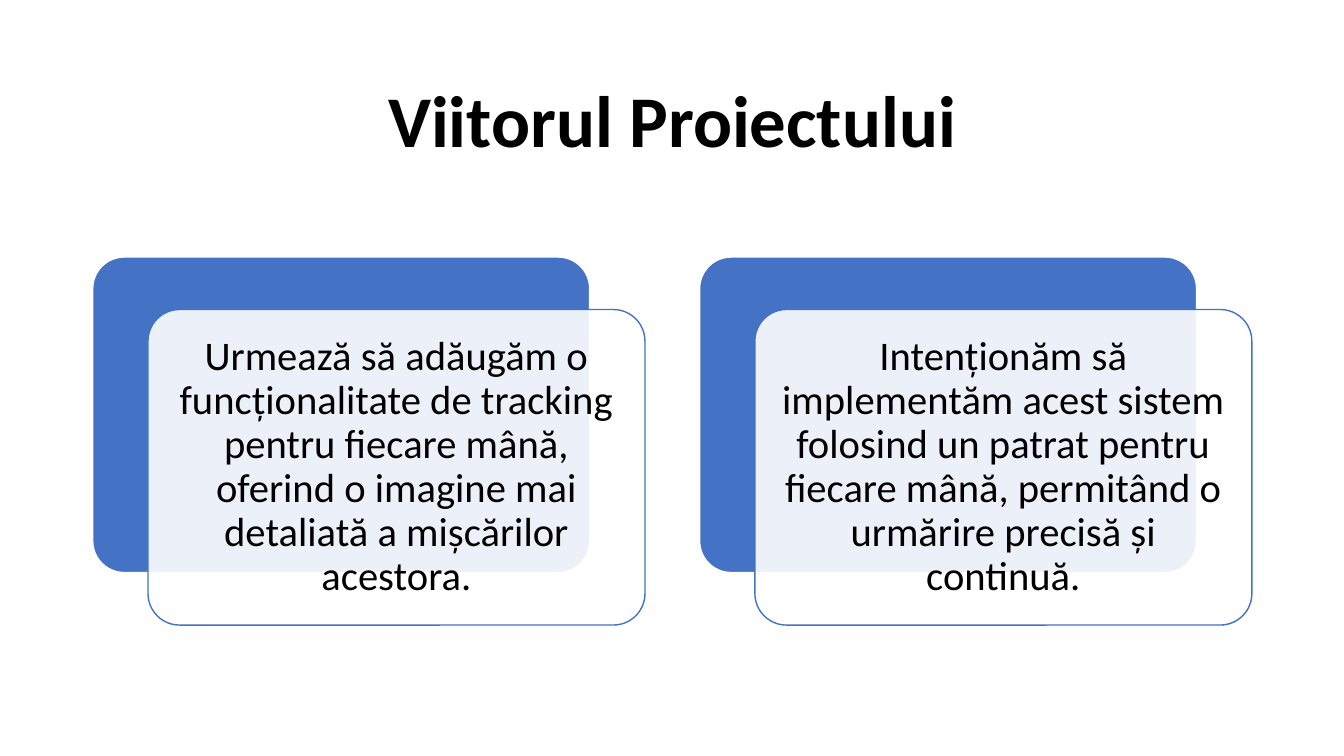
from dataclasses import dataclass

from lxml import etree
from pptx import Presentation
from pptx.dml.color import RGBColor
from pptx.enum.shapes import MSO_SHAPE
from pptx.enum.text import MSO_ANCHOR, MSO_AUTO_SIZE, PP_ALIGN
from pptx.oxml.ns import qn
from pptx.shapes.autoshape import Shape
from pptx.slide import Slide
from pptx.text.text import TextFrame
from pptx.util import Pt

ROUND = MSO_SHAPE.ROUNDED_RECTANGLE
MIDDLE = MSO_ANCHOR.MIDDLE
CENTER = PP_ALIGN.CENTER
NO_FIT = MSO_AUTO_SIZE.NONE

BLUE = RGBColor(0x44, 0x72, 0xC4)
WHITE = RGBColor(0xFF, 0xFF, 0xFF)
BLACK = RGBColor(0x00, 0x00, 0x00)

FONT = "Calibri"
LEFT, TOP = 66.24, 183.6
WIDTH, HEIGHT = 355, 225.4
SHIFT_X, SHIFT_Y = 39.5, 37.5
PITCH = 433.5
INSET = 8.64


@dataclass
class Card:
    left: float
    text: str


CARDS = [
    Card(LEFT + i * PITCH, text)
    for i, text in enumerate([
        "Urmează să adăugăm o funcționalitate de tracking pentru fiecare mână, "
        "oferind o imagine mai detaliată a mișcărilor acestora.",
        "Intenționăm să implementăm acest sistem folosind un patrat pentru "
        "fiecare mână, permitând o urmărire precisă și continuă.",
    ])
]


def write(frame: TextFrame, text: str, size: float, bold: bool = False) -> None:
    frame.text = text
    frame.word_wrap = True
    frame.auto_size = NO_FIT
    frame.vertical_anchor = MIDDLE
    line = frame.paragraphs[0]
    line.alignment = CENTER
    line.line_spacing = 0.9
    line.font.name = FONT
    line.font.size = Pt(size)
    line.font.bold = bold
    line.font.color.rgb = BLACK


def add_panel(slide: Slide, left: float, top: float,
              fill: RGBColor, edge: RGBColor) -> Shape:
    panel = slide.shapes.add_shape(
        ROUND, Pt(left), Pt(top), Pt(WIDTH), Pt(HEIGHT))
    panel.adjustments[0] = 0.1
    panel.shadow.inherit = False
    panel.fill.solid()
    panel.fill.fore_color.rgb = fill
    panel.line.color.rgb = edge
    panel.line.width = Pt(1)
    return panel


def set_alpha(panel: Shape, share: int) -> None:
    color = panel.element.spPr.find(qn("a:solidFill")).find(qn("a:srgbClr"))
    etree.SubElement(color, qn("a:alpha")).set("val", str(share * 1000))


def add_card(slide: Slide, card: Card) -> None:
    add_panel(slide, card.left, TOP, BLUE, WHITE)
    front = add_panel(
        slide, card.left + SHIFT_X, TOP + SHIFT_Y, WHITE, BLUE)
    set_alpha(front, 90)
    frame = front.text_frame
    write(frame, card.text, 29)
    frame.margin_left = frame.margin_right = Pt(INSET)
    frame.margin_top = frame.margin_bottom = Pt(INSET)


def main() -> None:
    deck = Presentation()
    deck.slide_width, deck.slide_height = Pt(960), Pt(540)
    slide = deck.slides.add_slide(deck.slide_layouts[5])
    title = slide.shapes.title
    title.left, title.top = Pt(LEFT), Pt(43.92)
    title.width, title.height = Pt(828), Pt(89.28)
    write(title.text_frame, "Viitorul Proiectului", 52, True)
    for card in CARDS:
        add_card(slide, card)
    deck.save("out.pptx")


if __name__ == "__main__":
    main()
